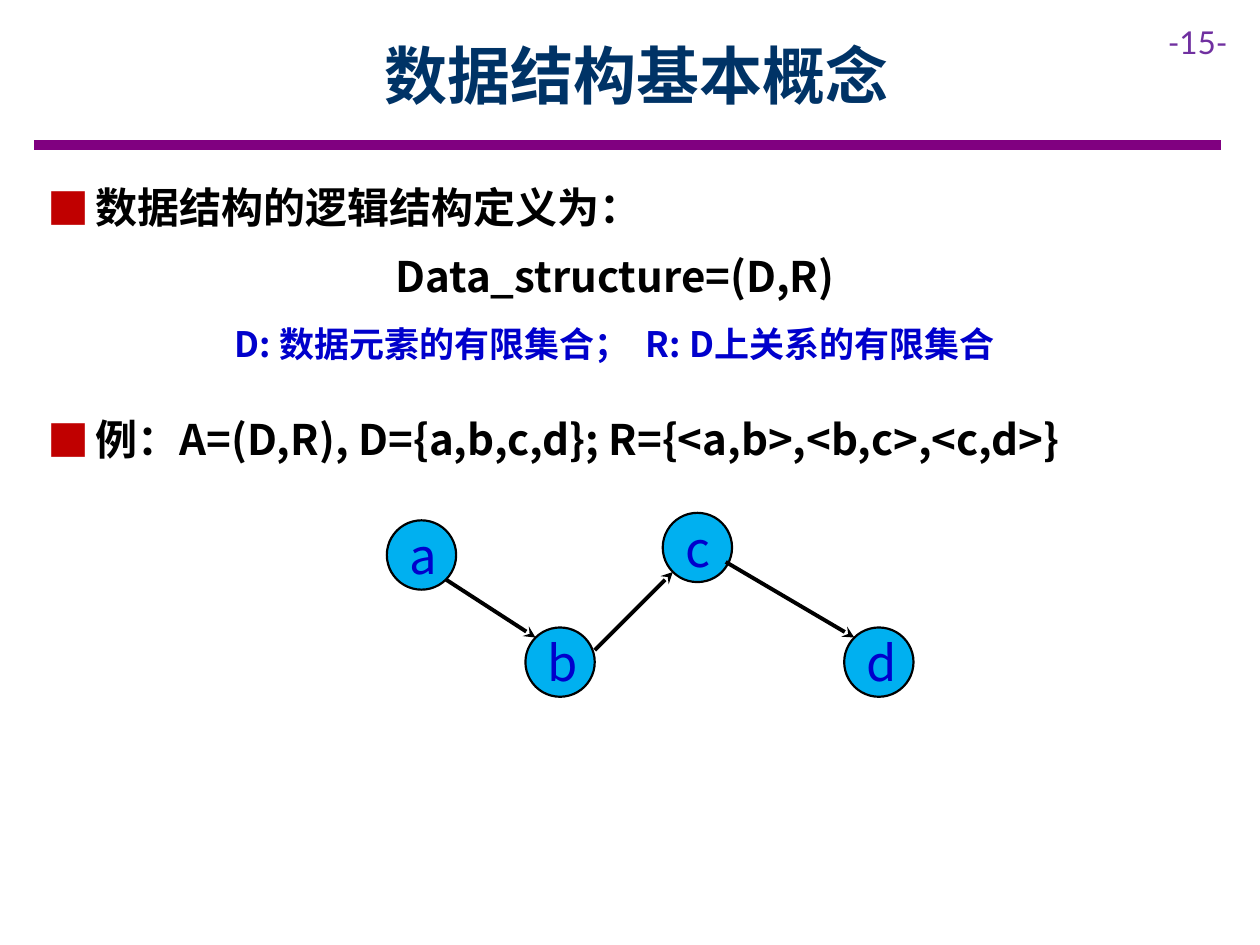
from lxml import etree
from pptx import Presentation
from pptx.dml.color import RGBColor
from pptx.enum.shapes import MSO_CONNECTOR, MSO_SHAPE
from pptx.enum.text import MSO_ANCHOR, PP_ALIGN
from pptx.oxml.ns import qn
from pptx.util import Inches, Pt

CENTER, LEFT = PP_ALIGN.CENTER, PP_ALIGN.LEFT
TOP, MIDDLE = MSO_ANCHOR.TOP, MSO_ANCHOR.MIDDLE
STRAIGHT, ELLIPSE = MSO_CONNECTOR.STRAIGHT, MSO_SHAPE.OVAL
CJK_FONT = "Noto Sans CJK SC"
BLACK, BLUE = "000000", "0000CC"

presentation = Presentation()
presentation.slide_width, presentation.slide_height = Inches(10), Inches(7.5)
slide = presentation.slides.add_slide(presentation.slide_layouts[6])


def write(shape, paragraph, text, size, color, bold=False, align=LEFT,
          anchor=TOP, font=CJK_FONT, bullet=False):
    """Add one run to a paragraph and format both."""
    shape.text_frame.word_wrap = True
    shape.text_frame.vertical_anchor = anchor
    paragraph.alignment = align
    if bullet:
        properties = paragraph._p.get_or_add_pPr()
        properties.set("marL", str(Inches(0.38)))
        properties.set("indent", str(-Inches(0.38)))
        bullet_color = etree.SubElement(properties, qn("a:buClr"))
        etree.SubElement(bullet_color, qn("a:srgbClr"), val="C00000")
        etree.SubElement(properties, qn("a:buFont"), typeface=CJK_FONT)
        etree.SubElement(properties, qn("a:buChar"), char="■")
    run = paragraph.add_run()
    run.text = text
    run.font.size, run.font.bold, run.font.name = Pt(size), bold, font
    run.font.color.rgb = RGBColor.from_string(color)
    latin = run._r.rPr.find(qn("a:latin"))
    latin.addnext(etree.Element(qn("a:ea"), typeface=font))


def add_line(start, end, color, width, arrow=False):
    line = slide.shapes.add_connector(
        STRAIGHT, *(Inches(value) for value in (*start, *end)))
    line.line.color.rgb = RGBColor.from_string(color)
    line.line.width = Pt(width)
    if arrow:
        etree.SubElement(line.line._get_or_add_ln(), qn("a:tailEnd"), type="stealth")
    etree.SubElement(line._element.spPr, qn("a:effectLst"))


# Header rule, page number and title
add_line((0.27, 1.15), (9.69, 1.15), "800080", 6)
page_number = slide.shapes.add_textbox(Inches(9.17), Inches(0.13), Inches(0.83), Inches(0.4))
write(page_number, page_number.text_frame.paragraphs[0], "-15-", 18, "7030A0", font="Lato")
title = slide.shapes.add_textbox(Inches(0.9), Inches(0.09), Inches(8.31), Inches(1))
write(title, title.text_frame.paragraphs[0], "数据结构基本概念", 36, "003366",
      bold=True, align=CENTER, anchor=MIDDLE)

# Bulleted statements
for top, width, text in [
    (1.39, 5.67, "数据结构的逻辑结构定义为："),
    (3.23, 8.94, "例：A=(D,R), D={a,b,c,d}; R={<a,b>,<b,c>,<c,d>}"),
]:
    statement = slide.shapes.add_textbox(Inches(0.28), Inches(top), Inches(width), Inches(0.5))
    write(statement, statement.text_frame.paragraphs[0], text, 24, BLACK,
          bold=True, bullet=True)

# Definition
definition = slide.shapes.add_textbox(Inches(0.35), Inches(1.94), Inches(9.06), Inches(1.01))
formula = definition.text_frame.paragraphs[0]
write(definition, formula, "Data_structure=(D,R)", 24, BLACK, bold=True, align=CENTER)
formula.space_after = Pt(12)
write(definition, definition.text_frame.add_paragraph(),
      "D: 数据元素的有限集合；  R: D上关系的有限集合", 20, BLUE, bold=True, align=CENTER)

# Graph nodes
for name, left, top in [("a", 3.07, 4.13), ("b", 4.17, 4.98),
                        ("c", 5.26, 4.07), ("d", 6.7, 4.98)]:
    node = slide.shapes.add_shape(ELLIPSE, Inches(left), Inches(top), Inches(0.55), Inches(0.55))
    node.shadow.inherit = False
    node.fill.solid()
    node.fill.fore_color.rgb = RGBColor.from_string("00B0F0")
    node.line.color.rgb = RGBColor.from_string(BLACK)
    node.line.width = Pt(1.25)
    frame = node.text_frame
    frame.margin_left = frame.margin_right = Inches(0.1)
    frame.margin_top = frame.margin_bottom = Inches(0.1)
    write(node, frame.paragraphs[0], name, 28, BLUE, align=CENTER, anchor=MIDDLE)

# Graph edges
for start, end in [((3.54, 4.6), (4.25, 5.06)),
                   ((4.72, 5.16), (5.34, 4.54)),
                   ((5.76, 4.46), (6.78, 5.06))]:
    add_line(start, end, BLACK, 2.25, arrow=True)

presentation.save("out.pptx")
